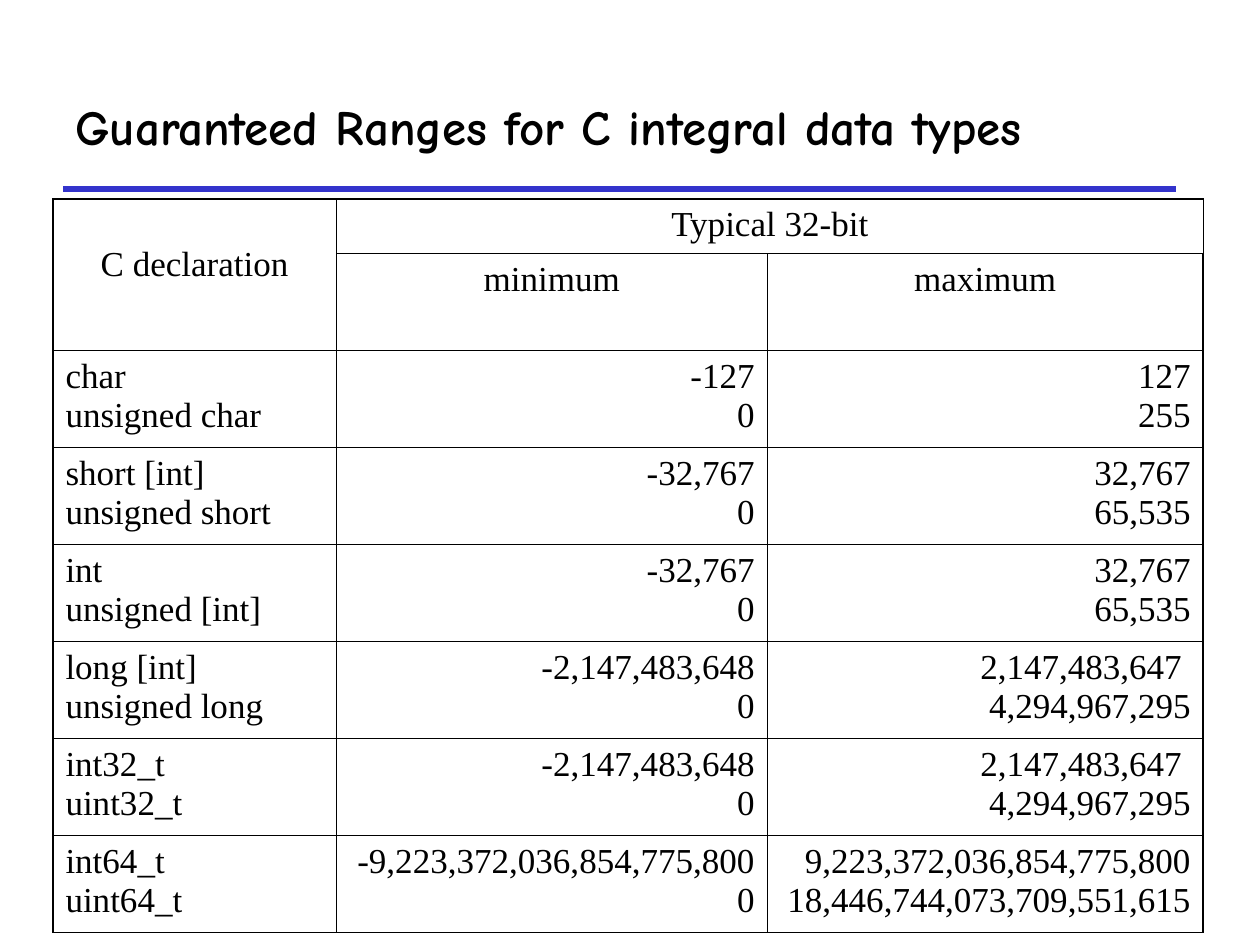
from lxml.etree import SubElement
from pptx import Presentation
from pptx.dml.color import RGBColor
from pptx.enum.shapes import MSO_CONNECTOR
from pptx.enum.text import MSO_ANCHOR, PP_ALIGN as Align
from pptx.oxml.ns import qn
from pptx.util import Inches, Pt

TITLE = "Guaranteed Ranges for C integral data types"
HEADERS = [
    ("C declaration", "Typical 32-bit", None),
    (None, "minimum", "maximum"),
]
# Each row: signed and unsigned type, their minima, their maxima
RANGES = [
    (("char", "unsigned char"), ("-127", "0"), ("127", "255")),
    (("short [int]", "unsigned short"), ("-32,767", "0"), ("32,767", "65,535")),
    (("int", "unsigned [int]"), ("-32,767", "0"), ("32,767", "65,535")),
    (("long [int]", "unsigned long"), ("-2,147,483,648", "0"),
     ("2,147,483,647 ", "4,294,967,295")),
    (("int32_t", "uint32_t"), ("-2,147,483,648", "0"),
     ("2,147,483,647 ", "4,294,967,295")),
    (("int64_t", "uint64_t"), ("-9,223,372,036,854,775,800", "0"),
     ("9,223,372,036,854,775,800", "18,446,744,073,709,551,615")),
]
COLORS = {"text": "000000", "border": "000000", "rule": "3333CC"}
COLUMN_WIDTHS = (2.25, 3.42, 3.46)
HEADER_HEIGHT, ROW_HEIGHT = 0.43, 0.77
OUTER_LINE, INNER_LINE = 1.08, 0.45


def write(frame, lines, font="Times New Roman", size=20, bold=False, align=Align.LEFT):
    for index, line in enumerate(lines):
        para = frame.paragraphs[0] if index == 0 else frame.add_paragraph()
        para.alignment = align
        span = para.add_run()
        span.text = line
        span.font.name = font
        span.font.size = Pt(size)
        span.font.bold = bold
        span.font.color.rgb = RGBColor.from_string(COLORS["text"])


def set_borders(cell, widths):
    """Put left, right, top and bottom lines, in points, ahead of the cell's fill."""
    properties = cell._tc.get_or_add_tcPr()
    for index, (side, width) in enumerate(zip(("lnL", "lnR", "lnT", "lnB"), widths)):
        line = SubElement(properties, qn(f"a:{side}"), w=str(int(Pt(width))))
        fill = SubElement(line, qn("a:solidFill"))
        SubElement(fill, qn("a:srgbClr"), val=COLORS["border"])
        properties.insert(index, line)


def add_rule(page):
    rule = page.shapes.add_connector(
        MSO_CONNECTOR.STRAIGHT, Inches(0.5), Inches(1.5), Inches(9.33), Inches(1.5))
    rule.line.color.rgb = RGBColor.from_string(COLORS["rule"])
    rule.line.width = Pt(3)
    SubElement(rule._element.spPr, qn("a:effectLst"))


def add_title(page):
    box = page.shapes.add_textbox(Inches(0.5), Inches(0.5), Inches(8.83), Inches(1))
    box.text_frame.word_wrap = True
    box.text_frame.vertical_anchor = MSO_ANCHOR.MIDDLE
    write(box.text_frame, [TITLE], font="Comic Neue", size=28, bold=True)


def add_range_table(page):
    heights = [HEADER_HEIGHT] + [ROW_HEIGHT] * (len(RANGES) + 1)
    rows, columns = len(heights), len(COLUMN_WIDTHS)
    table = page.shapes.add_table(
        rows, columns, Inches(0.42), Inches(1.58),
        Inches(sum(COLUMN_WIDTHS)), Inches(sum(heights))).table
    table.first_row = table.horz_banding = False
    for column, width in zip(table.columns, COLUMN_WIDTHS):
        column.width = Inches(width)
    for row, height in zip(table.rows, heights):
        row.height = Inches(height)

    for r in range(rows):
        for c in range(columns):
            cell = table.cell(r, c)
            cell.fill.background()
            on_edge = (c == 0, c == columns - 1, r == 0, r == rows - 1)
            set_borders(cell, [OUTER_LINE if edge else INNER_LINE for edge in on_edge])

    table.cell(0, 0).merge(table.cell(1, 0))
    table.cell(0, 1).merge(table.cell(0, 2))
    table.cell(0, 0).margin_top = Inches(0.37)
    for r, labels in enumerate(HEADERS):
        for c, label in enumerate(labels):
            if label:
                write(table.cell(r, c).text_frame, [label], align=Align.CENTER)
    for r, entries in enumerate(RANGES, start=len(HEADERS)):
        for c, lines in enumerate(entries):
            write(table.cell(r, c).text_frame, lines,
                  align=Align.RIGHT if c else Align.LEFT)


def main():
    deck = Presentation()
    deck.slide_width, deck.slide_height = Inches(10), Inches(7.5)
    page = deck.slides.add_slide(deck.slide_layouts[6])
    add_rule(page)
    add_title(page)
    add_range_table(page)
    deck.save("out.pptx")


if __name__ == "__main__":
    main()
